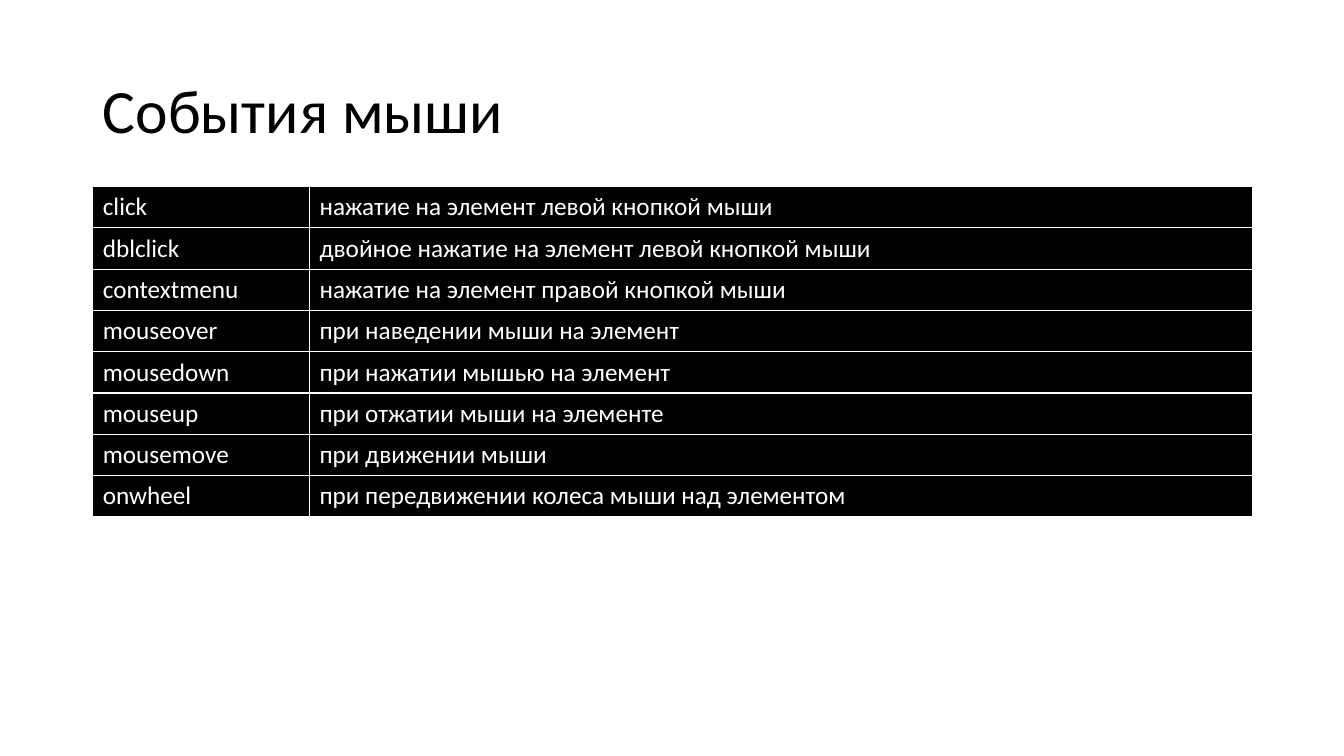
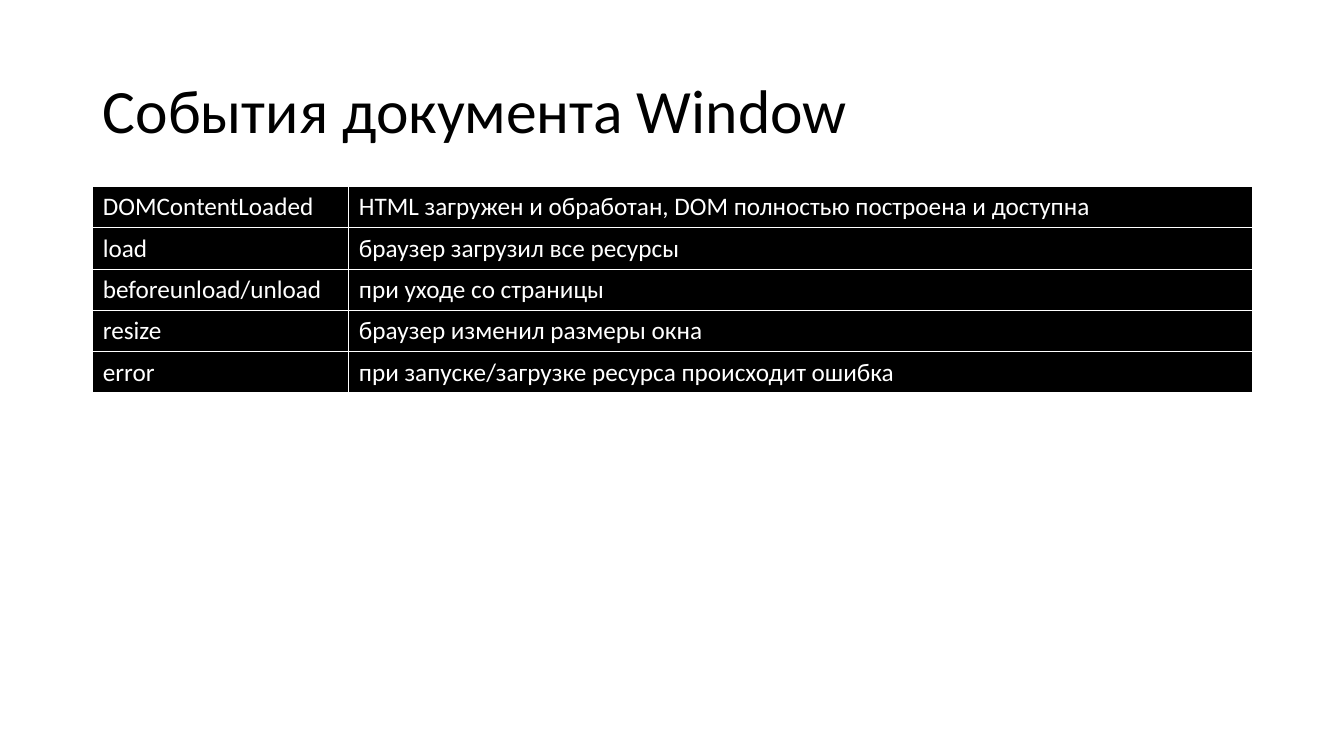
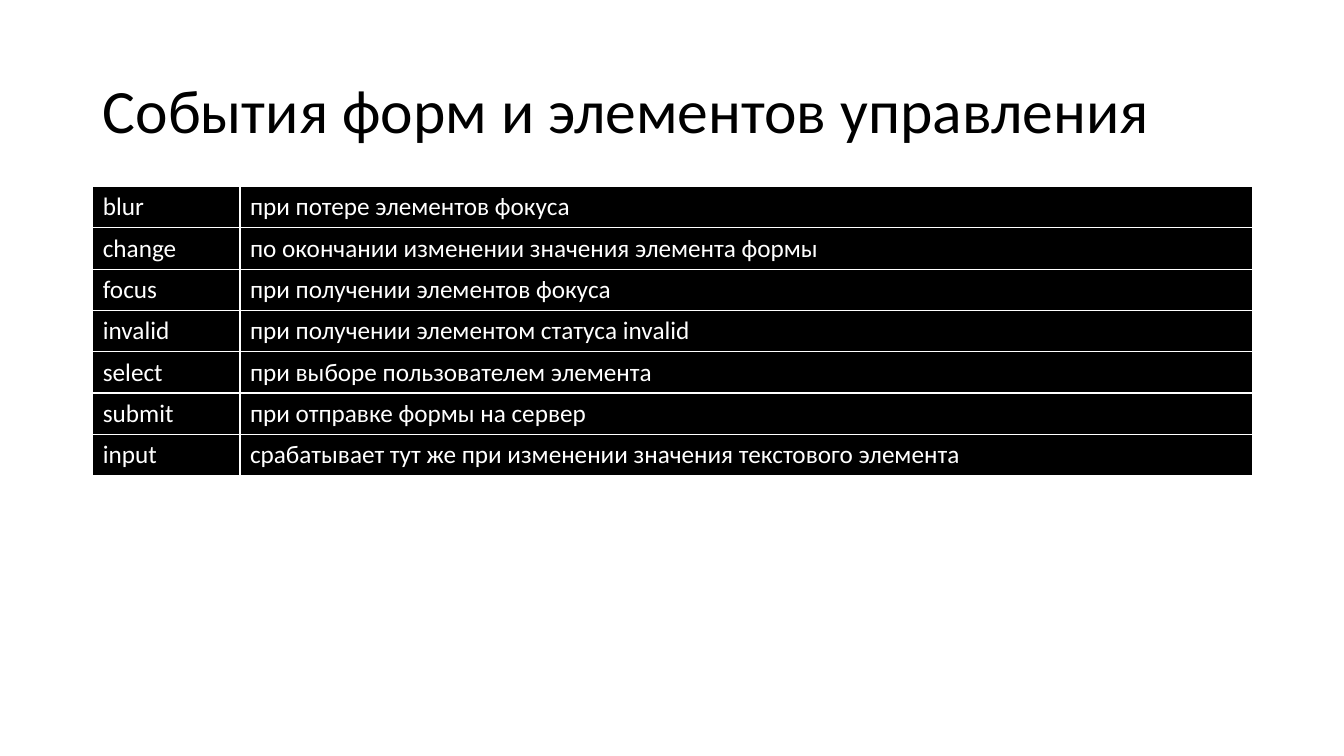
from dataclasses import dataclass

from lxml.etree import SubElement
from pptx import Presentation
from pptx.dml.color import RGBColor
from pptx.enum.text import MSO_ANCHOR, MSO_AUTO_SIZE, PP_ALIGN
from pptx.oxml.ns import qn
from pptx.slide import Slide
from pptx.table import _Cell
from pptx.text.text import TextFrame
from pptx.util import Inches, Pt

FONT = "Calibri"
BLACK = "000000"
WHITE = "FFFFFF"
LEFT, TOP, WIDTH = 0.92, 0.4, 11.5
HEAD = 1.45
ROW = 0.41


@dataclass(frozen=True)
class Page:
    title: str
    split: float
    rows: tuple[tuple[str, str], ...]


PAGES = (
    Page("События мыши", 2.15, (
        ("click", "нажатие на элемент левой кнопкой мыши"),
        ("dblclick", "двойное нажатие на элемент левой кнопкой мыши"),
        ("contextmenu", "нажатие на элемент правой кнопкой мыши"),
        ("mouseover", "при наведении мыши на элемент"),
        ("mousedown", "при нажатии мышью на элемент"),
        ("mouseup", "при отжатии мыши на элементе"),
        ("mousemove", "при движении мыши"),
        ("onwheel", "при передвижении колеса мыши над элементом"),
    )),
    Page("События документа Window", 2.54, (
        ("DOMContentLoaded", "HTML загружен и обработан, DOM полностью построена и доступна"),
        ("load", "браузер загрузил все ресурсы"),
        ("beforeunload/unload", "при уходе со страницы"),
        ("resize", "браузер изменил размеры окна"),
        ("error", "при запуске/загрузке ресурса происходит ошибка"),
    )),
    Page("События форм и элементов управления", 1.46, (
        ("blur", "при потере элементов фокуса"),
        ("change", "по окончании изменении значения элемента формы"),
        ("focus", "при получении элементов фокуса"),
        ("invalid", "при получении элементом статуса invalid"),
        ("select", "при выборе пользователем элемента"),
        ("submit", "при отправке формы на сервер"),
        ("input", "срабатывает тут же при изменении значения текстового элемента"),
    )),
)


def paint(code: str) -> RGBColor:
    return RGBColor.from_string(code)


def write(frame: TextFrame, text: str, *, size: int, color: str, space: float = 1.0) -> None:
    para = frame.paragraphs[0]
    para.alignment = PP_ALIGN.LEFT
    para.line_spacing = space
    run = para.add_run()
    run.text = text
    font = run.font
    font.name = FONT
    font.size = Pt(size)
    font.bold = False
    font.color.rgb = paint(color)


def edge(cell: _Cell, color: str) -> None:
    props = cell._tc.get_or_add_tcPr()
    for side in ("lnL", "lnR", "lnT", "lnB"):
        line = SubElement(props, qn(f"a:{side}"), w=str(Pt(1)))
        fill = SubElement(line, qn("a:solidFill"))
        SubElement(fill, qn("a:srgbClr"), val=color)


def add_title(slide: Slide, text: str) -> None:
    title = slide.shapes.title
    title.left, title.top = Inches(LEFT), Inches(TOP)
    title.width, title.height = Inches(WIDTH), Inches(HEAD)
    frame = title.text_frame
    frame.word_wrap = True
    frame.auto_size = MSO_AUTO_SIZE.NONE
    frame.vertical_anchor = MSO_ANCHOR.MIDDLE
    write(frame, text, size=44, color=BLACK, space=0.9)


def add_grid(slide: Slide, page: Page) -> None:
    count = len(page.rows)
    table = slide.shapes.add_table(
        count, 2, Inches(LEFT), Inches(TOP + HEAD), Inches(WIDTH), Inches(ROW * count)
    ).table
    table.first_row = False
    table.horz_banding = False
    for col, width in zip(table.columns, (page.split, WIDTH - page.split)):
        col.width = Inches(width)
    for row, texts in zip(table.rows, page.rows):
        row.height = Inches(ROW)
        for cell, text in zip(row.cells, texts):
            edge(cell, WHITE)
            cell.fill.solid()
            cell.fill.fore_color.rgb = paint(BLACK)
            cell.vertical_anchor = MSO_ANCHOR.MIDDLE
            write(cell.text_frame, text, size=18, color=WHITE)


def main() -> None:
    deck = Presentation()
    deck.slide_width, deck.slide_height = Inches(13.33), Inches(7.5)
    for page in PAGES:
        slide = deck.slides.add_slide(deck.slide_layouts[5])
        add_title(slide, page.title)
        add_grid(slide, page)
    deck.save("out.pptx")


if __name__ == "__main__":
    main()
